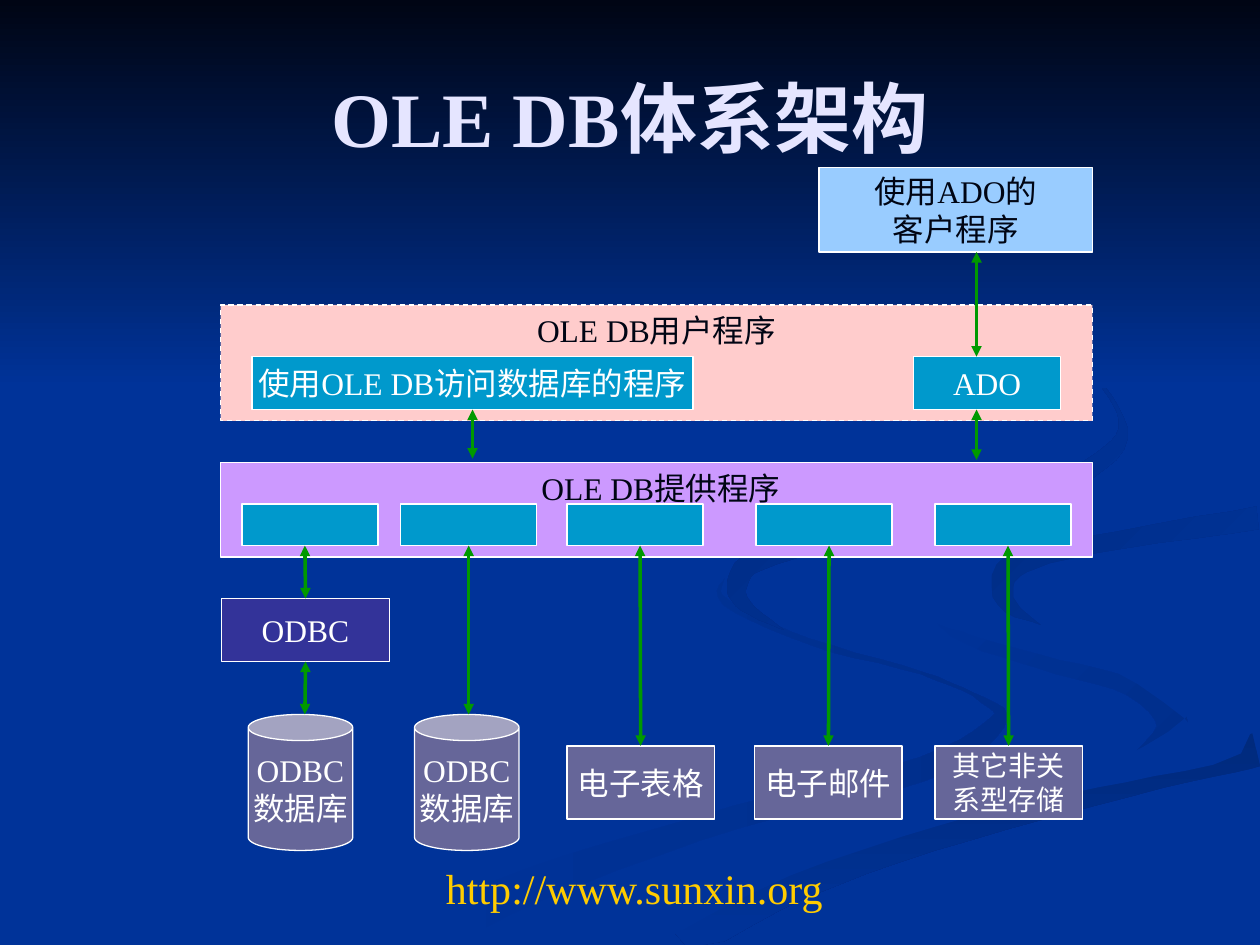
import math
from dataclasses import dataclass
from typing import NamedTuple, Optional

import lxml.etree
import pptx
import pptx.dml.color
import pptx.enum.dml
import pptx.enum.shapes
import pptx.enum.text
import pptx.oxml.ns
import pptx.util

PX = pptx.util.Inches(1) // 100
SLIDE_W, SLIDE_H = 1000, 750
FONT = "Times New Roman"
COLORS = {
    "back": "003399", "night": "000514", "white": "FFFFFF", "title": "E5E5FF",
    "pink": "FFCCCC", "violet": "CC99FF", "sky": "99CCFF", "cyan": "0099CC",
    "navy": "333399", "slate": "666699", "green": "009900", "gold": "FFCC00",
    "stream": "002E8B", "sweep": "002A7D", "crest": "002D86", "loop": "002B82",
}
RECT = pptx.enum.shapes.MSO_SHAPE.RECTANGLE
CAN = pptx.enum.shapes.MSO_SHAPE.CAN
TOP, BOTTOM = 0, 2
CLIENT_BOTTOM = 200
USER_Y, USER_H = 283, 42
USER_BOTTOM = USER_Y + USER_H
PROVIDER_Y = 367
SLOT_Y, SLOT_W, SLOT_H = 400, 108, 33
SLOT_BOTTOM = SLOT_Y + SLOT_H
ODBC_Y, ODBC_H = 475, 50
CAN_Y, CAN_W, CAN_H = 567, 83, 108
STORE_Y, STORE_W, STORE_H = 592, 117, 58
STEPS_PER_KNOT = 5


class Knot(NamedTuple):
    x: float
    y: float
    width: float


@dataclass
class Ribbon:
    start: str
    end: str
    angle: int
    spine: list


@dataclass
class Box:
    name: str
    x: int
    y: int
    w: int
    h: int
    fill: str
    text: str = ""
    color: str = "white"
    size: int = 18
    kind: int = RECT
    dashed: bool = False


@dataclass
class Label:
    text: str
    x: int
    y: int
    w: int
    h: int
    size: int
    color: str
    bold: bool = False
    middle: bool = False


@dataclass
class Arrow:
    x: int
    y1: int
    y2: int
    above: Optional[str] = None
    below: Optional[str] = None


LEFT_STREAM = [(575, 459, 0), (576, 478, 5), (642, 509, 5), (731, 534, 3), (779, 555, 4),
               (792, 573, 13), (733, 610, 20), (586, 648, 18), (424, 702, 28), (325, 749, 34)]
RIGHT_STREAM = [(724, 464, 0), (757, 502, 7), (825, 525, 11), (898, 546, 14),
                (931, 576, 25), (894, 605, 0)]
LOWER_SWEEP = [(537, 749, 34), (637, 702, 22), (767, 657, 20), (922, 616, 19), (998, 595, 28)]
MAIN_BAND = [(500, 749, 20), (625, 689, 13), (772, 640, 14), (890, 612, 18), (972, 570, 55),
             (886, 525, 16), (788, 494, 25), (753, 463, 56), (825, 423, 20), (999, 394, 15)]
UPPER_CREST = [(826, 496, 0), (798, 477, 14), (804, 449, 20), (863, 433, 14), (998, 411, 18)]
UPPER_LOOP = [(762, 233, 0), (844, 277, 4), (887, 325, 3), (881, 360, 14), (810, 397, 15),
              (680, 422, 16), (602, 444, 17), (585, 464, 16), (592, 481, 10), (622, 500, 0)]
RIBBONS = [
    Ribbon("back", "stream", 0, LEFT_STREAM),
    Ribbon("back", "stream", 45, RIGHT_STREAM),
    Ribbon("sweep", "back", 90, LOWER_SWEEP),
    Ribbon("back", "back", 0, MAIN_BAND),
    Ribbon("crest", "back", 45, UPPER_CREST),
    Ribbon("loop", "back", 45, UPPER_LOOP),
]
BOXES = [
    Box("consumer", 175, 242, 692, 92, "pink", dashed=True),
    Box("provider", 175, PROVIDER_Y, 692, 75, "violet"),
    Box("ado", 725, USER_Y, 117, USER_H, "cyan", "ADO"),
    Box("client", 650, 133, 217, 67, "sky", "使用ADO的\n客户程序", "night"),
    Box("program", 200, USER_Y, 350, USER_H, "cyan", "使用OLE DB访问数据库的程序"),
    Box("odbc", 176, ODBC_Y, 133, ODBC_H, "navy", "ODBC"),
    *[Box(f"database{i}", x, CAN_Y, CAN_W, CAN_H, "slate", "ODBC\n数据库", kind=CAN)
      for i, x in enumerate((197, 329))],
    *[Box(name, x, STORE_Y, STORE_W, STORE_H, "slate", text, size=size)
      for name, x, text, size in (("sheet", 450, "电子表格", 18), ("mail", 599, "电子邮件", 18),
                                  ("other", 742, "其它非关\n系型存储", 16))],
]
LABELS = [
    Label("OLE DB体系架构", 50, 30, 900, 125, 44, "title", bold=True, middle=True),
    Label("OLE DB用户程序", 350, 242, 342, 40, 18, "night"),
    Label("OLE DB提供程序", 408, PROVIDER_Y, 233, 40, 18, "night"),
    Label("http://www.sunxin.org", 177, 680, 653, 50, 24, "gold"),
]
SLOTS = [Box(f"slot{i}", x, SLOT_Y, SLOT_W, SLOT_H, "cyan")
         for i, x in enumerate((192, 318, 450, 600, 742))]
ARROWS = [
    Arrow(775, CLIENT_BOTTOM, USER_Y),
    Arrow(775, USER_BOTTOM, PROVIDER_Y - 2),
    Arrow(375, USER_BOTTOM, PROVIDER_Y - 3, above="program"),
    Arrow(242, SLOT_BOTTOM, ODBC_Y, below="odbc"),
    Arrow(242, ODBC_Y + ODBC_H, CAN_Y, above="odbc"),
    Arrow(372, SLOT_BOTTOM, CAN_Y, above="slot1"),
    *[Arrow(x, SLOT_BOTTOM, STORE_Y, below=store)
      for x, store in ((508, "sheet"), (658, "mail"), (800, "other"))],
]


def rgb(name: str) -> pptx.dml.color.RGBColor:
    return pptx.dml.color.RGBColor.from_string(COLORS[name])


def write(tf, text: str, *, size: int, color: str, bold: bool = False,
          wrap: bool = False, middle: bool = True) -> None:
    anchor = pptx.enum.text.MSO_ANCHOR
    tf.word_wrap = wrap
    tf.vertical_anchor = anchor.MIDDLE if middle else anchor.TOP
    for i, line in enumerate(text.split("\n")):
        p = tf.add_paragraph() if i else tf.paragraphs[0]
        p.alignment = pptx.enum.text.PP_ALIGN.CENTER
        r = p.add_run()
        r.text = line
        r.font.name, r.font.size, r.font.bold = FONT, pptx.util.Pt(size), bold
        r.font.color.rgb = rgb(color)


def catmull_rom(a: float, b: float, c: float, d: float, t: float) -> float:
    return b + t / 2 * (c - a + t * (2 * a - 5 * b + 4 * c - d + t * (3 * (b - c) + d - a)))


def smooth(spine: list) -> list[Knot]:
    ends = [spine[0], *spine, spine[-1]]
    knots = [Knot(*(catmull_rom(*axis, step / STEPS_PER_KNOT) for axis in zip(*ends[i:i + 4])))
             for i in range(len(spine) - 1) for step in range(STEPS_PER_KNOT)]
    return [*knots, Knot(*spine[-1])]


def outline(spine: list) -> list[tuple[int, int]]:
    knots = smooth(spine)
    left, right = [], []
    for before, knot, after in zip(knots[:1] + knots, knots, knots[1:] + knots[-1:]):
        normal = math.atan2(after.y - before.y, after.x - before.x) + math.pi / 2
        for side, reach in ((left, knot.width / 2), (right, -knot.width / 2)):
            x, y = knot.x + reach * math.cos(normal), knot.y + reach * math.sin(normal)
            side.append((min(round(x), SLIDE_W), min(round(y), SLIDE_H)))
    return left + right[::-1]


def shade(sp, start: str, end: str, angle: int) -> None:
    sp.shadow.inherit = False
    sp.line.fill.background()
    sp.fill.gradient()
    sp.fill.gradient_angle = -angle % 360
    for stop, name in zip(sp.fill.gradient_stops, (start, end)):
        stop.color.rgb = rgb(name)


def draw_ribbon(shapes, ribbon: Ribbon) -> None:
    first, *rest = outline(ribbon.spine)
    builder = shapes.build_freeform(*first, scale=PX)
    builder.add_line_segments(rest, close=True)
    shade(builder.convert_to_shape(), ribbon.start, ribbon.end, ribbon.angle)


def draw_box(shapes, box: Box):
    sp = shapes.add_shape(box.kind, *(v * PX for v in (box.x, box.y, box.w, box.h)))
    sp.shadow.inherit = False
    sp.fill.solid()
    sp.fill.fore_color.rgb = rgb(box.fill)
    sp.line.color.rgb = rgb("white")
    sp.line.width = pptx.util.Pt(0.75)
    if box.dashed:
        sp.line.dash_style = pptx.enum.dml.MSO_LINE.DASH
    if box.text:
        write(sp.text_frame, box.text, size=box.size, color=box.color)
    return sp


def draw_label(shapes, label: Label) -> None:
    sp = shapes.add_textbox(*(v * PX for v in (label.x, label.y, label.w, label.h)))
    write(sp.text_frame, label.text, size=label.size, color=label.color,
          bold=label.bold, wrap=True, middle=label.middle)


def draw_arrow(shapes, arrow: Arrow, boxes: dict) -> None:
    x, straight = arrow.x * PX, pptx.enum.shapes.MSO_CONNECTOR.STRAIGHT
    cxn = shapes.add_connector(straight, x, arrow.y1 * PX, x, arrow.y2 * PX)
    if arrow.above:
        cxn.begin_connect(boxes[arrow.above], BOTTOM)
    if arrow.below:
        cxn.end_connect(boxes[arrow.below], TOP)
    cxn.line.color.rgb = rgb("green")
    cxn.line.width = pptx.util.Pt(2)
    qn = pptx.oxml.ns.qn
    for tag in ("a:headEnd", "a:tailEnd"):
        lxml.etree.SubElement(cxn.line._get_or_add_ln(), qn(tag), type="triangle")
    lxml.etree.SubElement(cxn._element.spPr, qn("a:effectLst"))


def main() -> None:
    prs = pptx.Presentation()
    prs.slide_width, prs.slide_height = SLIDE_W * PX, SLIDE_H * PX
    slide = prs.slides.add_slide(prs.slide_layouts[6])
    slide.background.fill.solid()
    slide.background.fill.fore_color.rgb = rgb("back")
    shapes = slide.shapes
    for ribbon in RIBBONS:
        draw_ribbon(shapes, ribbon)
    shade(shapes.add_shape(RECT, 0, 0, SLIDE_W * PX, 308 * PX), "night", "back", 90)
    boxes = {box.name: draw_box(shapes, box) for box in BOXES}
    for label in LABELS:
        draw_label(shapes, label)
    boxes |= {slot.name: draw_box(shapes, slot) for slot in SLOTS}
    for arrow in ARROWS:
        draw_arrow(shapes, arrow, boxes)
    prs.save("out.pptx")


if __name__ == "__main__":
    main()
